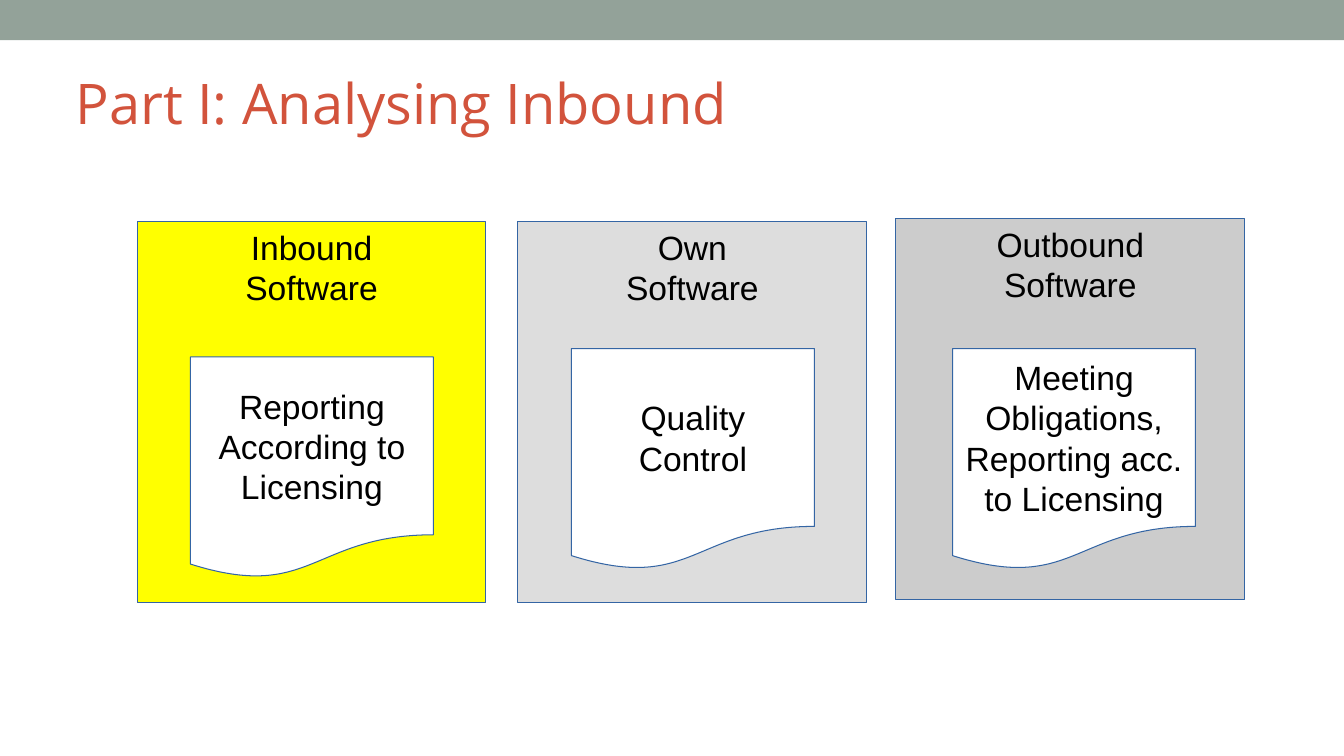
from pptx import Presentation
from pptx.dml.color import RGBColor
from pptx.enum.shapes import MSO_SHAPE as Shape
from pptx.enum.text import MSO_ANCHOR as Anchor, PP_ALIGN as Align
from pptx.util import Pt

COLORS = {
    "band": "93A299", "title": "D2533C", "outline": "3465A4", "text": "000000",
    "inbound": "FFFF00", "own": "DDDDDD", "outbound": "CCCCCC", "document": "FFFFFF",
}


def write(shape, text, font, size, color, align, anchor, insets):
    frame = shape.text_frame
    frame.text = text
    side, edge = insets
    frame_format = {
        "word_wrap": True, "vertical_anchor": anchor,
        "margin_left": Pt(side), "margin_right": Pt(side),
        "margin_top": Pt(edge), "margin_bottom": Pt(edge),
    }
    for name, value in frame_format.items():
        setattr(frame, name, value)
    for paragraph in frame.paragraphs:
        paragraph.alignment = align
        for run in paragraph.runs:
            for name, value in {"name": font, "size": Pt(size)}.items():
                setattr(run.font, name, value)
            run.font.color.rgb = RGBColor.from_string(COLORS[color])


def add_box(kind, left, top, width, height, fill, outlined=True):
    box = slide.shapes.add_shape(kind, Pt(left), Pt(top), Pt(width), Pt(height))
    box.shadow.inherit = False
    box.fill.solid()
    box.fill.fore_color.rgb = RGBColor.from_string(COLORS[fill])
    if outlined:
        box.line.color.rgb = RGBColor.from_string(COLORS["outline"])
        box.line.width = Pt(0.75)
    else:
        box.line.fill.background()
    return box


prs = Presentation()
prs.slide_width, prs.slide_height = Pt(960), Pt(540)
slide = prs.slides.add_slide(prs.slide_layouts[6])

# Top band and title
add_box(Shape.RECTANGLE, 0, 0, 960, 28.8, "band", outlined=False)
title = slide.shapes.add_textbox(Pt(54), Pt(14.4), Pt(864), Pt(82.8))
write(title, "Part I: Analysing Inbound", "Open Sans", 40, "title",
      Align.LEFT, Anchor.BOTTOM, (0, 0))

# Software stages: fill, left, top, heading, document top, document text
# (\n starts a paragraph, \v breaks a line)
stages = [
    ("inbound", 98, 158.4, "Inbound\nSoftware", 255,
     "Reporting\vAccording to\vLicensing"),
    ("own", 370, 158.4, "Own\nSoftware", 249, "Quality\vControl"),
    ("outbound", 640, 156.2, "Outbound\vSoftware", 249,
     "Meeting\vObligations,\nReporting acc.\vto Licensing"),
]
DOCUMENT_LEFT, DOCUMENT_STEP = 136, 272.2

for index, (fill, left, top, heading, document_top, task) in enumerate(stages):
    stage = add_box(Shape.RECTANGLE, left, top, 249.1, 272.2, fill)
    write(stage, heading, "Arial", 24, "text", Align.CENTER, Anchor.TOP, (7.2, 3.6))
    document = add_box(Shape.FLOWCHART_DOCUMENT, DOCUMENT_LEFT + index * DOCUMENT_STEP,
                       document_top, 173.5, 158.4, "document")
    write(document, task, "Arial", 24, "text", Align.CENTER, Anchor.MIDDLE, (7.2, 3.6))

prs.save("out.pptx")
